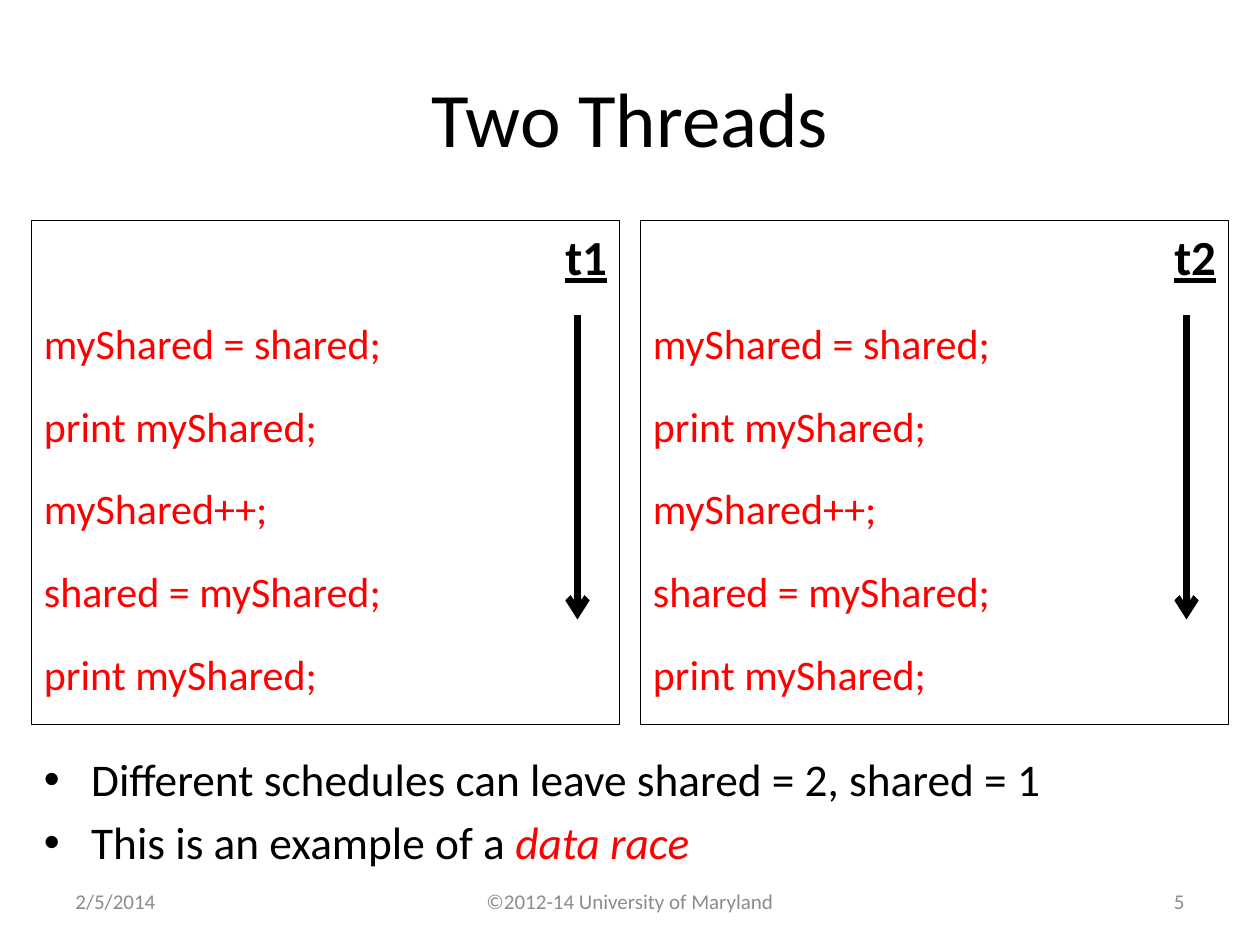
from dataclasses import dataclass

from lxml import etree
from pptx import Presentation
from pptx.dml.color import RGBColor
from pptx.enum.shapes import MSO_CONNECTOR, MSO_SHAPE
from pptx.enum.text import MSO_ANCHOR, PP_ALIGN
from pptx.oxml.ns import qn
from pptx.util import Pt

LEFT, CENTER, RIGHT = PP_ALIGN.LEFT, PP_ALIGN.CENTER, PP_ALIGN.RIGHT
TOP, MIDDLE = MSO_ANCHOR.TOP, MSO_ANCHOR.MIDDLE
FONT = "Calibri"
COLORS = {"text": "000000", "accent": "FF0000", "footer": "8C8C8C"}
PANEL_TOP, PANEL_WIDTH, PANEL_HEIGHT = 126, 336, 288
ARROW_OFFSET, ARROW_TOP, ARROW_BOTTOM = 312, 180, 354
CODE = (
    "myShared = shared;",
    "print myShared;",
    "myShared++;",
    "shared = myShared;",
    "print myShared;",
)


@dataclass
class Thread:
    name: str
    left: float


@dataclass
class Footer:
    text: str
    left: float
    width: float
    align: PP_ALIGN


THREADS = (Thread("t1", 18), Thread("t2", 366))
FOOTERS = (
    Footer("2/5/2014", 36, 168, LEFT),
    Footer("©2012-14 University of Maryland", 246, 228, CENTER),
    Footer("5", 516, 168, RIGHT),
)
BULLETS = (
    (("Different schedules can leave shared = 2, shared = 1", False),),
    (("This is an example of a ", False), ("data race", True)),
)


def place(shape, left: float, top: float, width: float, height: float) -> None:
    shape.left, shape.top = Pt(left), Pt(top)
    shape.width, shape.height = Pt(width), Pt(height)


def prepare_frame(shape, anchor: MSO_ANCHOR):
    frame = shape.text_frame
    frame.word_wrap = True
    frame.vertical_anchor = anchor
    return frame


def add_para(frame, first: bool, align=LEFT, before=0.0, spacing=1.0):
    para = frame.paragraphs[0] if first else frame.add_paragraph()
    para.alignment = align
    para.space_before = Pt(before)
    para.line_spacing = spacing
    return para


def add_span(para, text: str, size: float, color="text",
             bold=False, italic=False, underline=False) -> None:
    span = para.add_run()
    span.text = text
    font = span.font
    font.name, font.size = FONT, Pt(size)
    font.bold, font.italic, font.underline = bold, italic, underline
    font.color.rgb = RGBColor.from_string(COLORS[color])


def set_bullet(para) -> None:
    properties = para._p.get_or_add_pPr()
    properties.set("marL", str(Pt(27)))
    properties.set("indent", str(-Pt(27)))
    etree.SubElement(properties, qn("a:buFont"), typeface="Arial")
    etree.SubElement(properties, qn("a:buChar"), char="•")


def add_panel(page, thread: Thread) -> None:
    panel = page.shapes.add_shape(
        MSO_SHAPE.RECTANGLE, Pt(thread.left), Pt(PANEL_TOP), Pt(PANEL_WIDTH), Pt(PANEL_HEIGHT))
    panel.shadow.inherit = False
    panel.fill.background()
    panel.line.color.rgb = RGBColor.from_string(COLORS["text"])
    panel.line.width = Pt(0.75)
    frame = prepare_frame(panel, TOP)
    heading = add_para(frame, True, align=RIGHT, before=4)
    add_span(heading, thread.name, 28, bold=True, underline=True)
    for line in CODE:
        add_span(add_para(frame, False, before=4, spacing=1.5), line, 24, "accent")


def add_arrow(page, thread: Thread) -> None:
    x = Pt(thread.left + ARROW_OFFSET)
    arrow = page.shapes.add_connector(
        MSO_CONNECTOR.STRAIGHT, x, Pt(ARROW_TOP), x, Pt(ARROW_BOTTOM))
    arrow.line.color.rgb = RGBColor.from_string(COLORS["text"])
    arrow.line.width = Pt(4)
    etree.SubElement(arrow.line._get_or_add_ln(), qn("a:tailEnd"), type="arrow")
    etree.SubElement(arrow._element.spPr, qn("a:effectLst"))


def add_bullets(page) -> None:
    box = page.shapes.add_textbox(Pt(18), Pt(426), Pt(684), Pt(72))
    frame = prepare_frame(box, TOP)
    for index, parts in enumerate(BULLETS):
        para = add_para(frame, index == 0, before=4.7)
        set_bullet(para)
        for text, stressed in parts:
            add_span(para, text, 25.9, "accent" if stressed else "text", italic=stressed)


def add_footer(page, footer: Footer) -> None:
    box = page.shapes.add_textbox(Pt(footer.left), Pt(500.5), Pt(footer.width), Pt(28.75))
    frame = prepare_frame(box, MIDDLE)
    add_span(add_para(frame, True, align=footer.align), footer.text, 12, "footer")


# Deck and page
deck = Presentation()
deck.slide_width, deck.slide_height = Pt(720), Pt(540)
page = deck.slides.add_slide(deck.slide_layouts[5])

# Title
title = page.shapes.title
place(title, 36, 21.6, 648, 90)
add_span(add_para(prepare_frame(title, MIDDLE), True, align=CENTER), "Two Threads", 44)

# Conclusions and footer
add_bullets(page)
for footer in FOOTERS:
    add_footer(page, footer)

# Thread panels with their time arrows
for thread in THREADS:
    add_panel(page, thread)
    add_arrow(page, thread)

deck.save("out.pptx")
